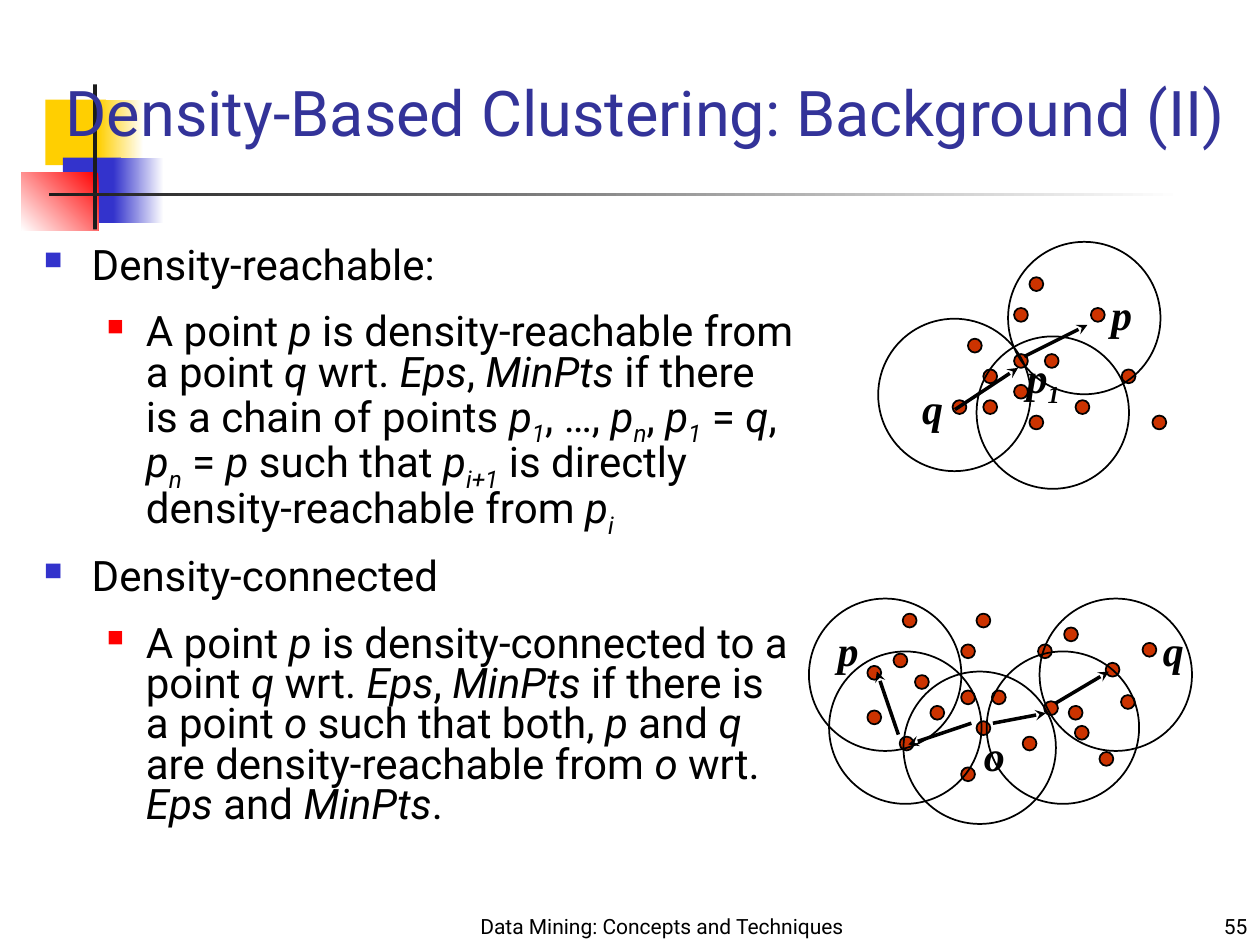
from lxml import etree
from pptx import Presentation
from pptx.dml.color import RGBColor
from pptx.enum.shapes import MSO_CONNECTOR, MSO_SHAPE
from pptx.enum.text import MSO_ANCHOR, MSO_AUTO_SIZE, PP_ALIGN
from pptx.oxml.ns import qn
from pptx.util import Inches, Pt

RECTANGLE, OVAL = MSO_SHAPE.RECTANGLE, MSO_SHAPE.OVAL
STRAIGHT = MSO_CONNECTOR.STRAIGHT
TOP, MIDDLE, BOTTOM = MSO_ANCHOR.TOP, MSO_ANCHOR.MIDDLE, MSO_ANCHOR.BOTTOM
NO_FIT, GROW = MSO_AUTO_SIZE.NONE, MSO_AUTO_SIZE.SHAPE_TO_FIT_TEXT
LEFT, CENTER, RIGHT = PP_ALIGN.LEFT, PP_ALIGN.CENTER, PP_ALIGN.RIGHT

BLACK = RGBColor(0x00, 0x00, 0x00)
WHITE = RGBColor(0xFF, 0xFF, 0xFF)
CHARCOAL = RGBColor(0x1C, 0x1C, 0x1C)
YELLOW = RGBColor(0xFF, 0xCF, 0x01)
BLUE = RGBColor(0x33, 0x33, 0xCC)
RED = RGBColor(0xFF, 0x00, 0x00)
NAVY = RGBColor(0x33, 0x33, 0x99)
RUST = RGBColor(0xCC, 0x33, 0x00)

SANS, SERIF = "Roboto", "Times New Roman"
WIDTH, HEIGHT = 10, 7.5
CELL = 0.122
DOT, CIRCLE = 0.11, 1.21

MOTIF = [
    ((0.36, 0.79, 0.48, 0.52), [YELLOW], 0),
    ((0.78, 0.79, 0.36, 0.52), [WHITE, YELLOW], 180),
    ((0.5, 1.25, 0.46, 0.52), [BLUE], 0),
    ((0.9, 1.25, 0.4, 0.52), [WHITE, BLUE], 180),
    ((0.17, 1.37, 0.61, 0.46), [RED, WHITE], 225),
    ((0.74, 0.67, 0.03, 1.15), [CHARCOAL], 0),
    ((0.39, 1.53, 9, 0.03), [WHITE, CHARCOAL], 180),
]

BULLETS = [
    (0, "Density-reachable:"),
    (1, "A point *p* is density-reachable from a point *q* wrt. *Eps*, *MinPts* "
        "if there is a chain of points *p_1_*, …, *p_n_*, *p_1_* = *q*, *p_n_* = *p* "
        "such that *p_i+1_* is directly density-reachable from *p_i_*"),
    (0, "Density-connected"),
    (1, "A point *p* is density-connected to a point *q* wrt. *Eps*, *MinPts* "
        "if there is a point *o *such that both, *p* and *q* are density-reachable "
        "from *o* wrt. *Eps* and *MinPts*."),
]
LEVELS = [(0.38, -0.38, BLUE, 60), (0.81, -0.31, RED, 55)]

REACHABLE = {
    "dots": [(1, 4), (4, 5), (4, 2), (0, 8), (2, 6), (2, 8), (5, 9), (5, 0),
             (11, 6), (9, 2), (4, 7), (6, 5), (8, 8), (13, 9)],
    "circles": [(1.56, 3.85), (-4.84, 2.7), (3.61, -2.3)],
    "labels": [("*p*", 9.51, 0.33, 0.42), ("*q*", -2.79, 6.48, 0.42),
               ("*p_1_*", 4.02, 4.43, 0.67)],
    "arrows": [(4.67, 5.16, 8.77, 3.11), (0.16, 8.61, 4.26, 5.9)],
}
CONNECTED = {
    "dots": [(1, 4), (4, 5), (4, 2), (0, 8), (2, 6), (4, 10), (5, 7), (5, 0),
             (11, 6), (9, 2), (-2.1, 6.3), (6, 5), (8, 8), (13, 9),
             (14.4, 5.3), (9.4, 5.7), (11.4, 7.3), (15.8, 1.9), (10.7, 0.9),
             (13.4, 3.2), (-0.4, 2.6), (-2.1, 3.4), (0.2, 0)],
    "circles": [(-4.59, 2.46), (0.25, 3.77), (5.66, 2.46), (9.1, -0.98), (-5.9, -0.98)],
    "labels": [("*p*", -4.84, 0.33, 0.42), ("*q*", 16.31, 0.33, 0.42),
               ("*o*", 4.67, 7.13, 0.42)],
    "arrows": [(4.67, 7.13, 0.57, 8.52), (6.07, 7.13, 9.51, 6.48),
               (-0.08, 7.87, -1.48, 3.77), (10.16, 5.82, 13.61, 3.77)],
}


def write_text(para, text, font=SANS, size=24, color=BLACK, bold=False, align=LEFT):
    """Write text in which *...* is italic and _..._ is subscript."""
    para.alignment = align
    for i, part in enumerate(text.split("*")):
        for j, piece in enumerate(part.split("_")):
            if not piece:
                continue
            span = para.add_run()
            span.text = piece
            span.font.name, span.font.size = font, Pt(size)
            span.font.color.rgb = color
            span.font.bold, span.font.italic = bold, i % 2 == 1
            if j % 2:
                span.font._element.set("baseline", "-25000")


def add_box(shapes, box, anchor=TOP, fit=NO_FIT):
    """Add a wrapping text box and return its text frame."""
    frame = shapes.add_textbox(*map(Inches, box)).text_frame
    frame.word_wrap, frame.auto_size, frame.vertical_anchor = True, fit, anchor
    return frame


def add_block(shapes, kind, box, colors=(), angle=0, line=None):
    """Add a shape with no, plain or two-colour gradient fill."""
    shape = shapes.add_shape(kind, *map(Inches, box))
    shape.shadow.inherit = False
    if len(colors) == 2:
        shape.fill.gradient()
        shape.fill.gradient_angle = angle
        for stop, color in zip(shape.fill.gradient_stops, colors):
            stop.color.rgb = color
    elif colors:
        shape.fill.solid()
        shape.fill.fore_color.rgb = colors[0]
    else:
        shape.fill.background()
    if line is None:
        shape.line.fill.background()
    else:
        shape.line.color.rgb, shape.line.width = line, Pt(1)


def add_arrow(shapes, ends):
    """Add a line with a stealth arrowhead at its end."""
    arrow = shapes.add_connector(STRAIGHT, *map(Inches, ends))
    arrow.line.color.rgb, arrow.line.width = BLACK, Pt(2)
    etree.SubElement(arrow.line._get_or_add_ln(), qn("a:tailEnd"), type="stealth")
    etree.SubElement(arrow._element.spPr, qn("a:effectLst"))


def set_bullet(para, level):
    """Give a paragraph the square bullet and indent of its level."""
    margin, indent, color, share = LEVELS[level]
    para.level = level
    props = para._p.get_or_add_pPr()
    props.set("marL", str(Inches(margin)))
    props.set("indent", str(Inches(indent)))
    etree.SubElement(etree.SubElement(props, qn("a:buClr")), qn("a:srgbClr"), val=str(color))
    etree.SubElement(props, qn("a:buSzPct"), val=str(share * 1000))
    etree.SubElement(props, qn("a:buChar"), char="■")


def place_title(page, box):
    """Draw the corner motif and set the title in front of it."""
    for area, colors, angle in MOTIF:
        add_block(page.shapes, RECTANGLE, area, colors, angle)
    title = page.shapes.title
    title.left, title.top, title.width, title.height = map(Inches, box)
    frame = title.text_frame
    frame.auto_size, frame.vertical_anchor = NO_FIT, MIDDLE
    write_text(frame.paragraphs[0], "Density-Based Clustering: Background (II)",
               size=36, color=NAVY)
    page.shapes._spTree.append(title._element)


def place_bullets(page, box):
    """Write the two definitions as a two-level list."""
    frame = add_box(page.shapes, box)
    for index, (level, text) in enumerate(BULLETS):
        para = frame.add_paragraph() if index else frame.paragraphs[0]
        set_bullet(para, level)
        para.line_spacing = 0.8
        para.space_before = Pt(15 if index else 0)
        write_text(para, text)


def place_diagram(shapes, left, top, parts):
    """Draw points, neighbourhoods, labels and arrows on a grid of cells."""
    def spot(column, row):
        return left + column * CELL, top + row * CELL

    for dot in parts["dots"]:
        add_block(shapes, OVAL, (*spot(*dot), DOT, DOT), [RUST], line=BLACK)
    for circle in parts["circles"]:
        add_block(shapes, OVAL, (*spot(*circle), CIRCLE, CIRCLE), line=BLACK)
    for text, column, row, width in parts["labels"]:
        frame = add_box(shapes, (*spot(column, row), width, 0.5), fit=GROW)
        write_text(frame.paragraphs[0], text, font=SERIF, bold=True)
    for arrow in parts["arrows"]:
        add_arrow(shapes, (*spot(*arrow[:2]), *spot(*arrow[2:])))


def place_footer(page, top, height):
    """Write the book title and the page number along the bottom."""
    for left, width, text, align in [
        (3.67, 3.17, "Data Mining: Concepts and Techniques", CENTER),
        (7.92, 2.08, "55", RIGHT),
    ]:
        frame = add_box(page.shapes, (left, top, width, height), anchor=BOTTOM)
        write_text(frame.paragraphs[0], text, size=12, align=align)


def main():
    """Build the slide and save it."""
    deck = Presentation()
    deck.slide_width, deck.slide_height = Inches(WIDTH), Inches(HEIGHT)
    page = deck.slides.add_slide(deck.slide_layouts[5])
    place_title(page, (0.42, 0.42, WIDTH - 0.42, 0.92))
    place_bullets(page, (0.25, 1.92, 6.17, 5.08))
    place_diagram(page.shapes, 7.56, 2.2, REACHABLE)
    place_diagram(page.shapes.add_group_shape().shapes, 7.14, 4.87, CONNECTED)
    place_footer(page, HEIGHT - 0.42, 0.42)
    deck.save("out.pptx")


if __name__ == "__main__":
    main()
